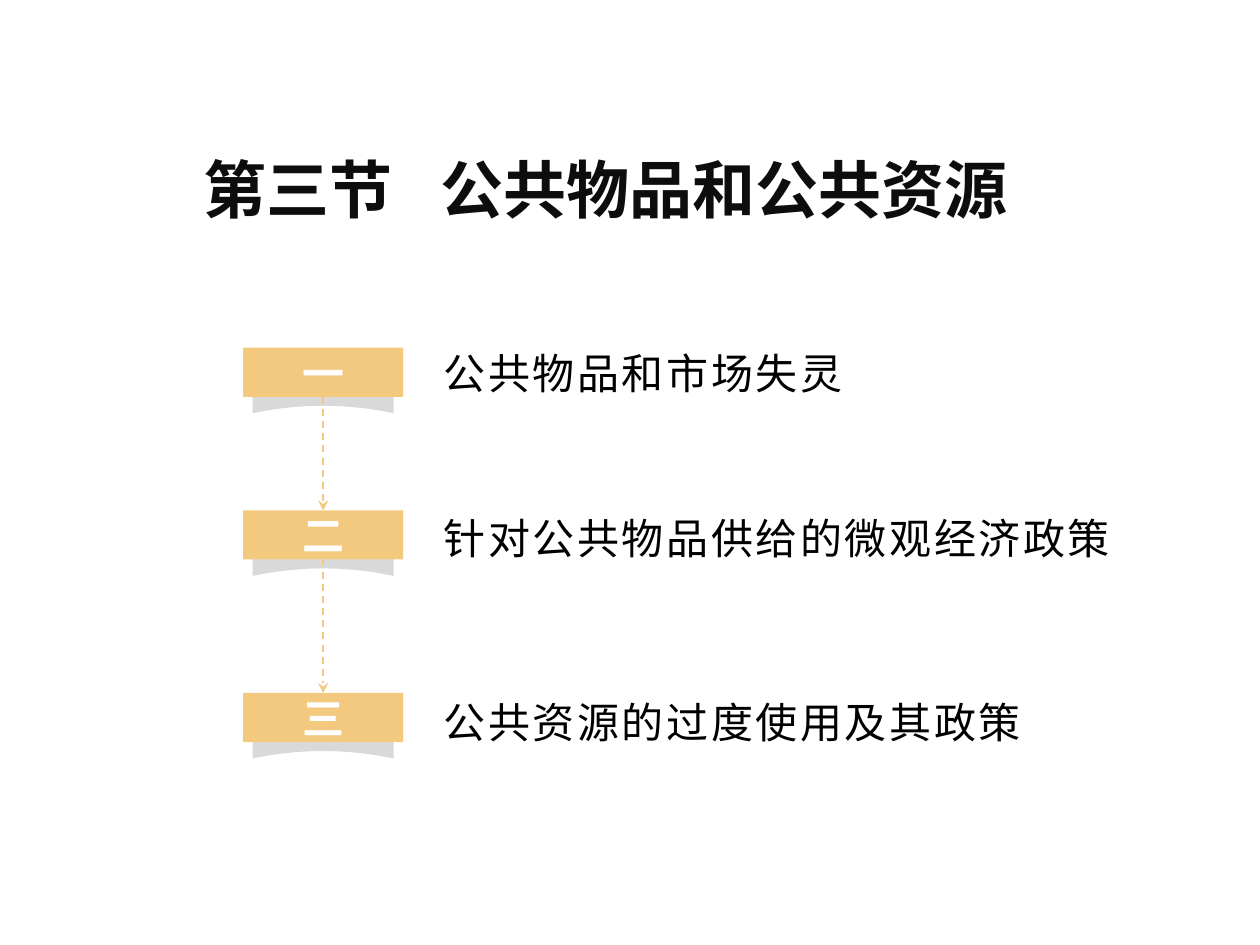
from dataclasses import dataclass

from lxml import etree
from pptx import Presentation
from pptx.dml.color import RGBColor
from pptx.enum.dml import MSO_LINE
from pptx.enum.shapes import MSO_CONNECTOR, MSO_SHAPE
from pptx.enum.text import MSO_ANCHOR, MSO_AUTO_SIZE, PP_ALIGN
from pptx.oxml.ns import qn
from pptx.util import Cm, Pt

RECT, STRAIGHT = MSO_SHAPE.RECTANGLE, MSO_CONNECTOR.STRAIGHT
MIDDLE, CENTER = MSO_ANCHOR.MIDDLE, PP_ALIGN.CENTER
DASH, FIT = MSO_LINE.DASH, MSO_AUTO_SIZE.SHAPE_TO_FIT_TEXT
FONT = "Noto Sans CJK SC"
GOLD, GREY, WHITE, BLACK, INK = "F3C97F", "D9D9D9", "FFFFFF", "000000", "0D0D0D"
PLATE_LEFT, PLATE_W, PLATE_H = 4.9, 3.23, 0.99
SHADE_W, SHADE_H, SHADE_DROP = 2.84, 0.48, 0.84
LABEL_LEFT, LABEL_H, CHAR_W, PADDING = 8.69, 1.27, 0.91, 0.5


@dataclass
class Topic:
    """A numbered topic with its plate and label heights in centimetres."""
    number: str
    label: str
    top: float
    label_top: float


TOPICS = [
    Topic("一", "公共物品和市场失灵", 7.01, 6.88),
    Topic("二", "针对公共物品供给的微观经济政策", 10.29, 10.21),
    Topic("三", "公共资源的过度使用及其政策", 13.97, 13.92),
]


def rgb(value: str) -> RGBColor:
    """Turn a hex string into a colour."""
    return RGBColor.from_string(value)


def paint(sp, color: str) -> None:
    """Give a shape a flat fill without line or shadow."""
    sp.shadow.inherit = False
    sp.fill.solid()
    sp.fill.fore_color.rgb = rgb(color)
    sp.line.fill.background()


def add_run(p, text: str, size: float, color: str, bold: bool = False, spacing: float = 0) -> None:
    """Append a formatted run to a paragraph."""
    r = p.add_run()
    r.text = text
    r.font.size, r.font.bold, r.font.name = Pt(size), bold, FONT
    r.font.color.rgb = rgb(color)
    rPr = r._r.get_or_add_rPr()
    etree.SubElement(rPr, qn("a:ea")).set("typeface", FONT)
    if spacing:
        rPr.set("spc", str(int(spacing * 100)))


def add_shade(s, top: float) -> None:
    """Draw the grey fold with a curved lower edge."""
    half, steps = SHADE_W / 2, 10
    mid = PLATE_LEFT + PLATE_W / 2
    bottom = top + SHADE_H
    ratios = [1 - 2 * i / steps for i in range(steps + 1)]
    edge = [(mid + half * t, bottom - 0.15 * (1 - t * t)) for t in ratios]
    points = edge + [(mid - half, top + 0.11), (mid, top), (mid + half, top + 0.11)]
    outline = [(Cm(x), Cm(y)) for x, y in points]
    fb = s.shapes.build_freeform(*outline[0])
    fb.add_line_segments(outline[1:], close=True)
    paint(fb.convert_to_shape(), GREY)


def add_plate(s, topic: Topic):
    """Draw a topic's number plate over its fold."""
    add_shade(s, topic.top + SHADE_DROP)
    sp = s.shapes.add_shape(RECT, Cm(PLATE_LEFT), Cm(topic.top), Cm(PLATE_W), Cm(PLATE_H))
    paint(sp, GOLD)
    tf = sp.text_frame
    tf.vertical_anchor = MIDDLE
    p = tf.paragraphs[0]
    p.alignment = CENTER
    add_run(p, topic.number, 24, WHITE, True, 1.5)
    return sp


def add_arrow(s, upper, lower) -> None:
    """Join two plates with a dashed arrow."""
    cx = s.shapes.add_connector(STRAIGHT, 0, 0, 0, 0)
    cx.begin_connect(upper, 2)
    cx.end_connect(lower, 0)
    cx.line.color.rgb = rgb(GOLD)
    cx.line.width, cx.line.dash_style = Pt(1), DASH
    ln = cx.line._get_or_add_ln()
    etree.SubElement(ln, qn("a:tailEnd")).set("type", "stealth")
    etree.SubElement(cx._element.spPr, qn("a:effectLst"))


def add_label(s, topic: Topic) -> None:
    """Write a topic's label beside its plate."""
    width = CHAR_W * len(topic.label) + PADDING
    tb = s.shapes.add_textbox(Cm(LABEL_LEFT), Cm(topic.label_top), Cm(width), Cm(LABEL_H))
    tf = tb.text_frame
    tf.word_wrap, tf.auto_size = False, FIT
    add_run(tf.paragraphs[0], topic.label, 24, BLACK, spacing=1.5)


def add_title(s) -> None:
    """Write the section title with a hanging indent."""
    tf = s.shapes.add_textbox(Cm(3.86), Cm(2.9), Cm(22.86), Cm(1.63)).text_frame
    tf.word_wrap = True
    p = tf.paragraphs[0]
    pPr = p._p.get_or_add_pPr()
    pPr.set("marL", str(Cm(0.97)))
    pPr.set("indent", str(-Cm(0.97)))
    add_run(p, "第三节\t公共物品和公共资源", 36, INK, True)


def main() -> None:
    """Build and save the slide."""
    prs = Presentation()
    prs.slide_width, prs.slide_height = Cm(25.4), Cm(19.05)
    s = prs.slides.add_slide(prs.slide_layouts[6])
    plates = [add_plate(s, topic) for topic in TOPICS]
    for upper, lower in zip(plates, plates[1:]):
        add_arrow(s, upper, lower)
    for topic in TOPICS:
        add_label(s, topic)
    add_title(s)
    prs.save("out.pptx")


if __name__ == "__main__":
    main()
